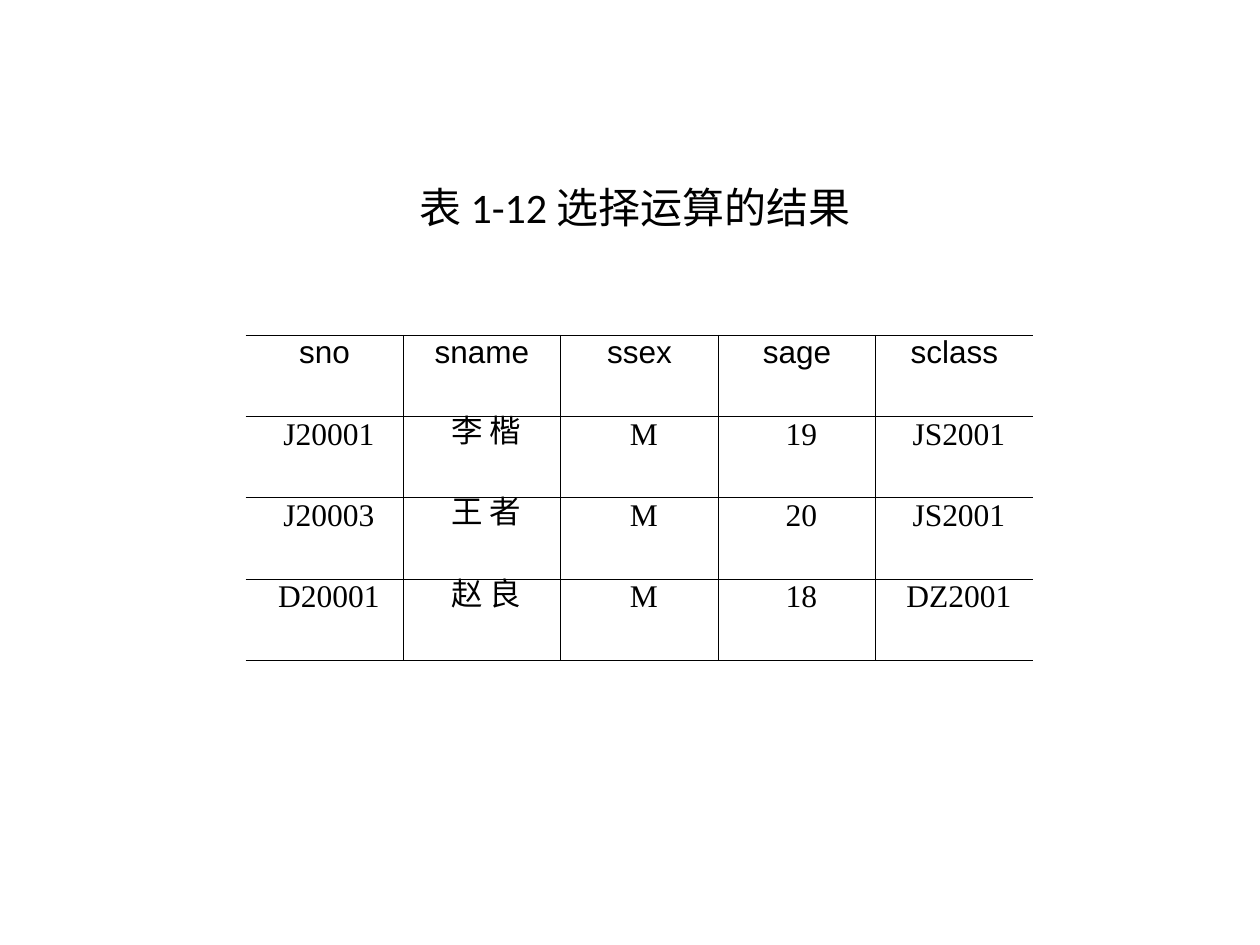
from pptx import Presentation
from pptx.dml.color import RGBColor
from pptx.enum.text import MSO_ANCHOR as Anchor, MSO_AUTO_SIZE as Fit, PP_ALIGN as Align
from pptx.oxml.ns import qn
from pptx.util import Inches, Pt
from lxml.etree import SubElement

BLACK = RGBColor(0, 0, 0)
RULE = Pt(0.45)
ROWS = [
    ("sno", "sname", "ssex", "sage", "sclass"),
    ("J20001", "李 楷", "M", "19", "JS2001"),
    ("J20003", "王 者", "M", "20", "JS2001"),
    ("D20001", "赵 良", "M", "18", "DZ2001"),
]


def style(item, **vals):
    for name, val in vals.items():
        setattr(item, name, val)


def write(frame, text, font, size, **para):
    """Fill a text frame with one centred paragraph."""
    line = frame.paragraphs[0]
    line.text = text
    style(line, alignment=Align.CENTER, **para)
    style(line.font, name=font, size=Pt(size), bold=False)
    line.font.color.rgb = BLACK


def add_title(slide, left, top, width, height):
    title = slide.shapes.title
    style(title, left=left, top=top, width=width, height=height)
    frame = title.text_frame
    style(frame, word_wrap=True, auto_size=Fit.NONE, vertical_anchor=Anchor.TOP)
    write(frame, "表 1-12 选择运算的结果", "Calibri", 24)


def add_rules(cell, sides):
    """Draw the named sides of a cell and hide the others."""
    props = cell._tc.get_or_add_tcPr()
    for side in "LRTB":
        line = SubElement(props, qn(f"a:ln{side}"), w=str(RULE))
        if side in sides:
            fill = SubElement(line, qn("a:solidFill"))
            SubElement(fill, qn("a:srgbClr"), val=str(BLACK))
        else:
            SubElement(line, qn("a:noFill"))


def add_grid(slide, left, top, width, height):
    count = len(ROWS[0])
    table = slide.shapes.add_table(len(ROWS), count, left, top, width, height).table
    style(table, first_row=False, horz_banding=False)
    for r, row in enumerate(ROWS):
        for c, text in enumerate(row):
            cell = table.cell(r, c)
            style(cell, margin_left=Inches(0.08), margin_right=Inches(0.08),
                  margin_top=Inches(0.05), margin_bottom=Inches(0.05))
            font = "Times New Roman" if r else "Arial"
            write(cell.text_frame, text, font, 18, line_spacing=Pt(16.6))
            if r:
                props = cell.text_frame.paragraphs[0]._p.get_or_add_pPr()
                props.set("marL", str(Inches(0.07)))
            add_rules(cell, "TB" + "L" * (c > 0) + "R" * (c < count - 1))
            cell.fill.background()


def main():
    deck = Presentation()
    style(deck, slide_width=Inches(10), slide_height=Inches(7.5))
    slide = deck.slides.add_slide(deck.slide_layouts[5])
    add_title(slide, Inches(0.75), Inches(1.39), Inches(8.58), Inches(4.95))
    add_grid(slide, Inches(1.95), Inches(2.66), Inches(6.25), Inches(2.58))
    deck.save("out.pptx")


if __name__ == "__main__":
    main()
